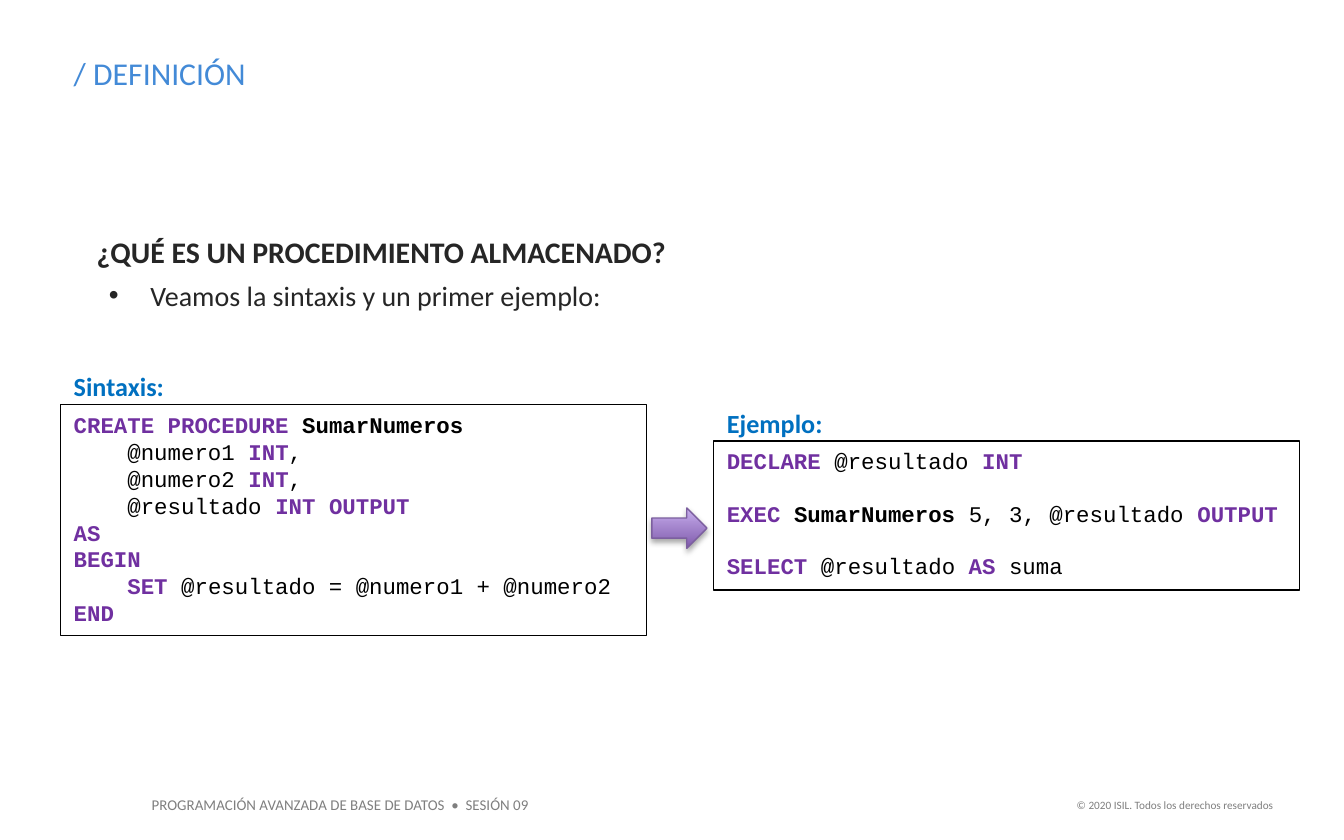
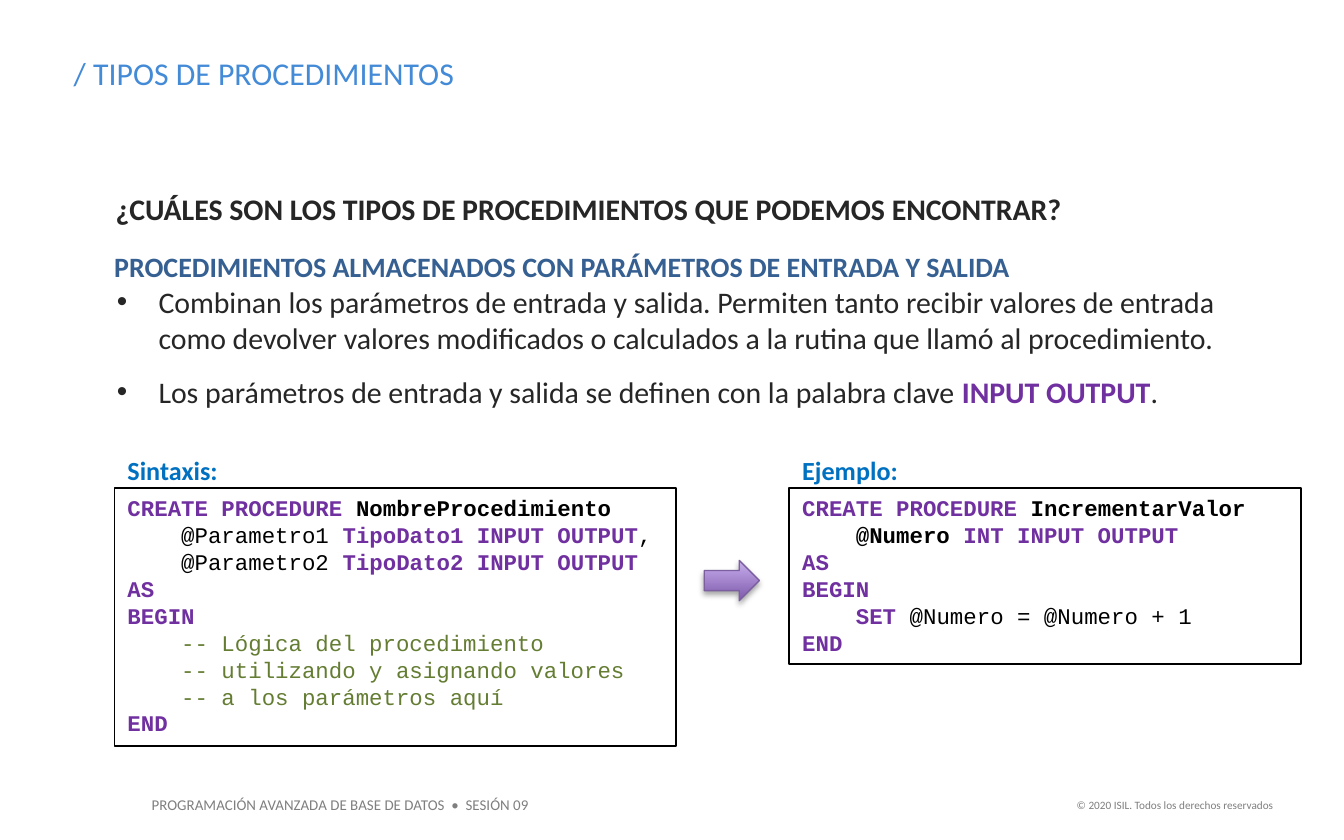
"""Build two slides on stored procedures, each with a syntax panel and an example panel."""
from lxml.etree import SubElement
from pptx import Presentation
from pptx.dml.color import RGBColor
from pptx.enum.shapes import MSO_SHAPE
from pptx.enum.text import MSO_ANCHOR, PP_ALIGN
from pptx.oxml.ns import qn
from pptx.util import Inches, Pt

HUES = {
    "title": "438AD7", "body": "262626", "foot": "7F7F7F", "label": "0070C0",
    "code": "000000", "key": "7030A0", "note": "647D33", "sub": "366092",
    "dark": "7F5AAB", "light": "C7AEED", "edge": "7C5F9F",
}
MARKS = {
    "*": {"hue": "key", "bold": True},
    "#": {"bold": True},
    "~": {"hue": "note"},
    "^": {"hue": "sub", "bold": True, "size": 15},
}


def color(name):
    return RGBColor.from_string(HUES[name])


def write(slide, text, at, size=16, hue="body", bold=False, font="Calibri",
          align=PP_ALIGN.LEFT, inset=(0.1, 0.05), gap=0, border=False):
    """Write lines; "|" parts runs, a leading mark styles one, an empty line adds the gap."""
    place = [Inches(n) for n in at]
    if border:
        box = slide.shapes.add_shape(MSO_SHAPE.RECTANGLE, *place)
        box.shadow.inherit = False
        box.fill.background()
        box.line.color.rgb = color("code")
        box.line.width = Pt(0.75)
    else:
        box = slide.shapes.add_textbox(*place)
    frame = box.text_frame
    frame.word_wrap = True
    frame.vertical_anchor = MSO_ANCHOR.TOP
    frame.margin_left = frame.margin_right = Inches(inset[0])
    frame.margin_top = frame.margin_bottom = Inches(inset[1])
    para, space = None, 0
    for line in text.strip("\n").split("\n"):
        if not line:
            space = gap
            continue
        para = frame.add_paragraph() if para else frame.paragraphs[0]
        para.alignment = align
        if space:
            para.space_before = Pt(space)
            space = 0
        if line.startswith("• "):
            line = line[2:]
            props = para._p.get_or_add_pPr()
            props.set("marL", str(Inches(0.33)))
            props.set("indent", str(Inches(-0.31)))
            tint = SubElement(props, qn("a:buClr"))
            SubElement(tint, qn("a:srgbClr"), val=HUES[hue])
            SubElement(props, qn("a:buFont"), typeface="Arial")
            SubElement(props, qn("a:buChar"), char="•")
        for part in line.split("|"):
            style = MARKS.get(part[0], {})
            run = para.add_run()
            run.text = part[1:] if style else part
            run.font.name = font
            run.font.size = Pt(style.get("size", size))
            run.font.bold = style.get("bold", bold)
            run.font.color.rgb = color(style.get("hue", hue))


SUM = """
*CREATE PROCEDURE |#SumarNumeros
    @numero1 |*INT|,
    @numero2 |*INT|,
    @resultado |*INT OUTPUT
*AS
*BEGIN
*    SET |@resultado = @numero1 + @numero2
*END
"""
CALL = """
*DECLARE |@resultado |*INT

*EXEC |#SumarNumeros |5, 3, @resultado |*OUTPUT

*SELECT |@resultado |*AS |suma
"""
FORM = """
*CREATE PROCEDURE |#NombreProcedimiento
    @Parametro1 |*TipoDato1 INPUT OUTPUT|,
    @Parametro2 |*TipoDato2 INPUT OUTPUT
*AS
*BEGIN
~    -- Lógica del procedimiento
~    -- utilizando y asignando valores
~    -- a los parámetros aquí
*END
"""
RAISE = """
*CREATE PROCEDURE |#IncrementarValor
#    @Numero |*INT INPUT OUTPUT
*AS
*BEGIN
*    SET |@Numero = @Numero + 1
*END
"""
TYPES = """
^PROCEDIMIENTOS ALMACENADOS CON PARÁMETROS DE ENTRADA Y SALIDA
• Combinan los parámetros de entrada y salida. Permiten tanto recibir valores de entrada como devolver valores modificados o calculados a la rutina que llamó al procedimiento.

• Los parámetros de entrada y salida se definen con la palabra clave |*INPUT OUTPUT|.
"""

PAGES = [
    {
        "title": "/ DEFINICIÓN",
        "head": ("¿QUÉ ES UN PROCEDIMIENTO ALMACENADO?", (0.72, 1.74, 5.46, 0.27)),
        "body": ("• Veamos la sintaxis y un primer ejemplo:", (0.79, 2.07, 4.27, 0.25), 15),
        "panels": [("Sintaxis:", SUM, (0.45, 3.01, 4.36, 1.72)),
                   ("Ejemplo:", CALL, (5.31, 3.28, 4.36, 1.11))],
        "arrow": (4.85, 3.78),
    },
    {
        "title": "/ TIPOS DE PROCEDIMIENTOS",
        "head": ("¿CUÁLES SON LOS TIPOS DE PROCEDIMIENTOS QUE PODEMOS ENCONTRAR?",
                 (0.86, 1.42, 7.34, 0.27)),
        "body": (TYPES, (0.85, 1.86, 8.2, 1.19), 16),
        "panels": [("Sintaxis:", FORM, (0.85, 3.63, 4.18, 1.92)),
                   ("Ejemplo:", RAISE, (5.87, 3.63, 3.81, 1.31))],
        "arrow": (5.24, 4.17),
    },
]

deck = Presentation()
deck.slide_width, deck.slide_height = Inches(10), Inches(6.25)

for page in PAGES:
    slide = deck.slides.add_slide(deck.slide_layouts[6])
    write(slide, "PROGRAMACIÓN AVANZADA DE BASE DE DATOS  •  SESIÓN 09",
          (1.03, 5.87, 3.03, 0.24), size=8, hue="foot")
    write(slide, "© 2020 ISIL. Todos los derechos reservados",
          (7.88, 5.89, 1.69, 0.2), size=6, hue="foot", align=PP_ALIGN.RIGHT)
    write(slide, page["title"], (0.45, 0.35, 7.88, 0.39), size=17, hue="title")

    text, at = page["head"]
    write(slide, text, at, bold=True, inset=(0, 0))
    text, at, size = page["body"]
    write(slide, text, at, size=size, inset=(0, 0), gap=10)

    for label, code, at in page["panels"]:
        write(slide, code, at, size=12, hue="code", font="Courier New",
              gap=13.6, border=True)
        write(slide, label, (at[0], at[1] - 0.3, 0.92, 0.34),
              size=14, hue="label", bold=True)

    left, top = page["arrow"]
    arrow = slide.shapes.add_shape(MSO_SHAPE.RIGHT_ARROW, Inches(left), Inches(top),
                                   Inches(0.41), Inches(0.3))
    arrow.fill.gradient()
    arrow.fill.gradient_angle = 90
    for stop, name, spot in zip(arrow.fill.gradient_stops, ("dark", "light"), (0, 1)):
        stop.color.rgb = color(name)
        stop.position = spot
    arrow.line.color.rgb = color("edge")
    arrow.line.width = Pt(0.75)
    arrow.shadow.inherit = False
    glow = SubElement(arrow._element.spPr.find(qn("a:effectLst")), qn("a:outerShdw"),
                      blurRad=str(Pt(3.1)), dist=str(Pt(1.8)), dir="5400000", rotWithShape="0")
    shade = SubElement(glow, qn("a:srgbClr"), val=HUES["code"])
    SubElement(shade, qn("a:alpha"), val="35000")

deck.save("out.pptx")
